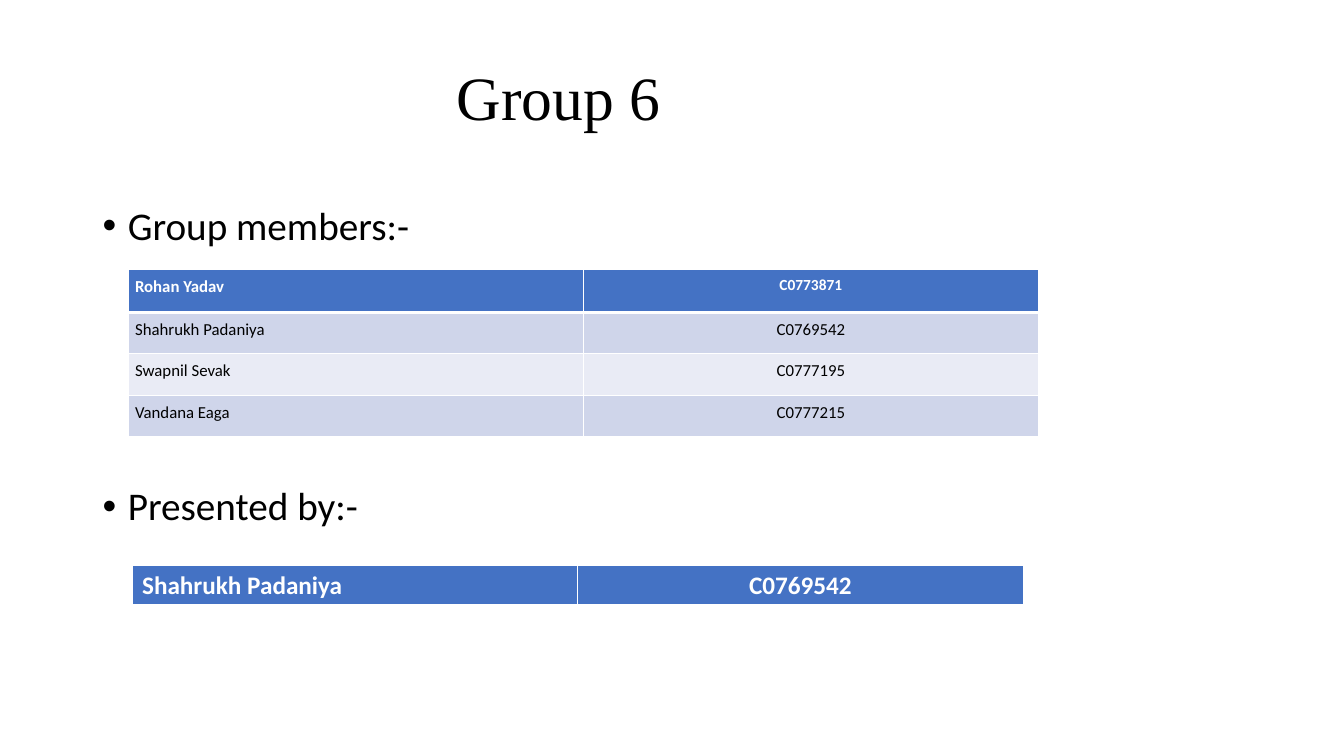
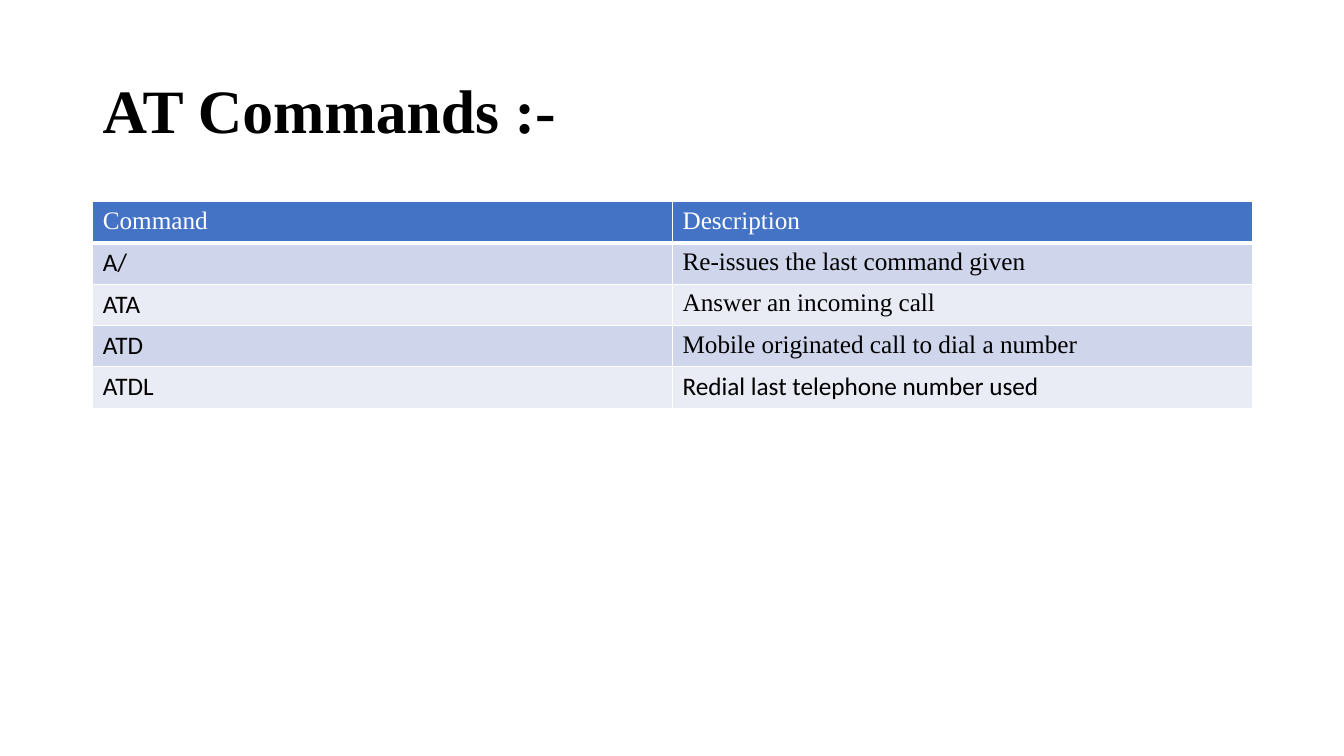
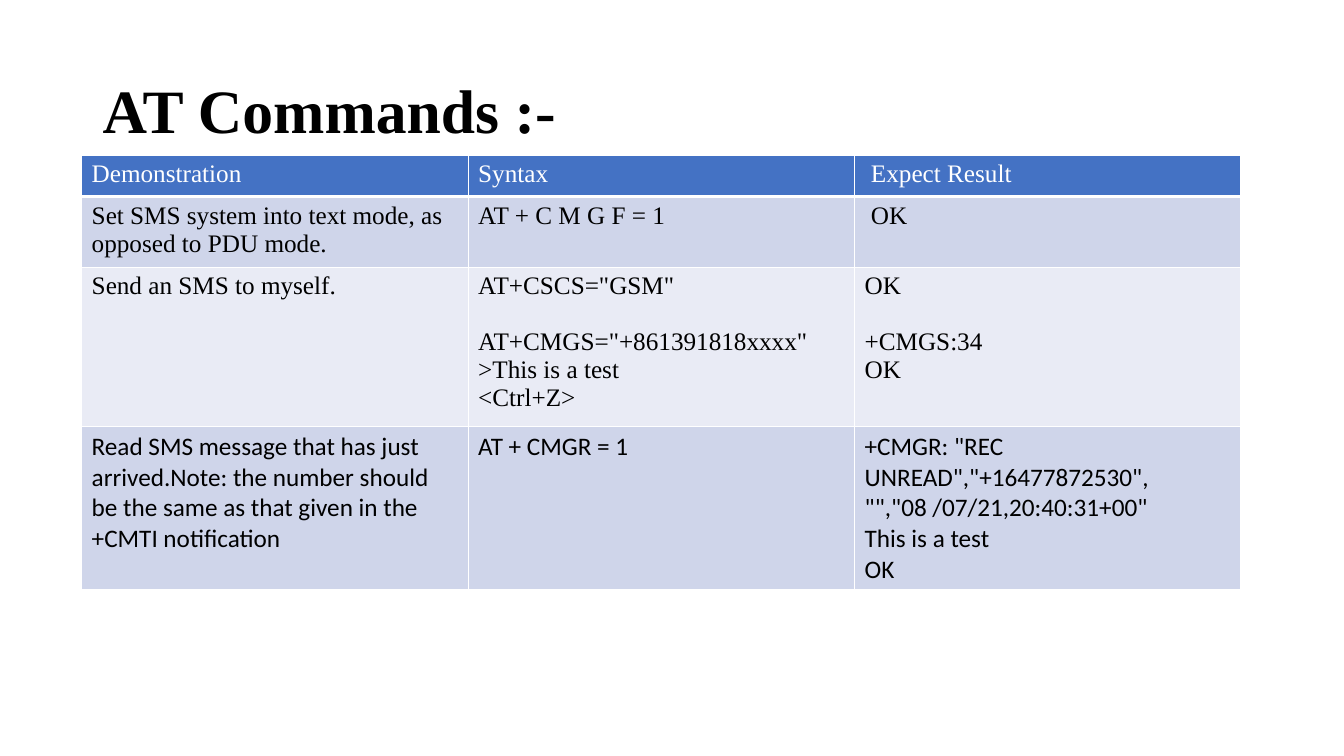
from lxml.etree import SubElement as Sub
from pptx import Presentation
from pptx.dml.color import RGBColor as RGB
from pptx.enum.text import MSO_ANCHOR as Anchor, PP_ALIGN as Align
from pptx.oxml.ns import qn
from pptx.util import Inches, Pt

SANS, SERIF = "Calibri", "Times New Roman"
BLACK, WHITE, BLUE = "000000", "FFFFFF", "4472C4"
BANDS = ["CFD5EA", "E9EBF5"]


def color(code):
    return RGB.from_string(code)


def style(para, size, face, ink=BLACK, bold=False):
    for run in para.runs:
        font = run.font
        font.size, font.name, font.bold = Pt(size), face, bold
        font.color.rgb = color(ink)


def textbox(slide, place, text):
    frame = slide.shapes.add_textbox(*map(Inches, place)).text_frame
    frame.word_wrap = True
    frame.text = text
    return frame


def title(slide, text, place=(0.92, 0.4, 11.5, 1.45), bold=True,
          anchor=Anchor.MIDDLE, spacing=0.9):
    frame = textbox(slide, place, text)
    frame.vertical_anchor = anchor
    para = frame.paragraphs[0]
    para.line_spacing = spacing
    style(para, 44, SERIF, bold=bold)


def bullets(slide, place, items, gap):
    """Bulleted lines, with gap points before each one but the first."""
    frame = textbox(slide, place, "\n".join(items))
    for i, para in enumerate(frame.paragraphs):
        para.line_spacing = 0.9
        para.space_before = Pt(gap if i else 0)
        props = para._p.get_or_add_pPr()
        props.set("marL", str(Inches(0.25)))
        props.set("indent", str(Inches(-0.25)))
        Sub(props, qn("a:buFont"), typeface="Arial")
        Sub(props, qn("a:buChar"), char="•")
        style(para, 28, SANS)


def borders(cell, base):
    """White edges; base is the width of the bottom one in points."""
    props = cell._tc.get_or_add_tcPr()
    edges = {"lnL": 1, "lnR": 1, "lnT": 1, "lnB": base}
    for i, (tag, width) in enumerate(edges.items()):
        line = props.makeelement(qn("a:" + tag), {"w": str(Pt(width))})
        fill = Sub(line, qn("a:solidFill"))
        Sub(fill, qn("a:srgbClr"), val=WHITE)
        props.insert(i, line)


def write(cell, text, **look):
    """Fill a cell; a blank line in text becomes space before the next one."""
    blocks = [block.split("\n") for block in text.split("\n\n")]
    starts = {sum(map(len, blocks[:i])) for i in range(1, len(blocks))}
    cell.text = "\n".join(line for block in blocks for line in block)
    for i, para in enumerate(cell.text_frame.paragraphs):
        if i in starts:
            para.space_before = Pt(20)
        style(para, **look)


def grid(slide, left, top, width, heights, rows, size=18, bold=False,
         serif=lambda r, c: False, center=None, inset=None):
    """Banded table with equal columns and a blue head row.

    serif tells which cells use the serif face, center is the centred column.
    """
    cols = len(rows[0])
    place = map(Inches, (left, top, width, sum(heights)))
    table = slide.shapes.add_table(len(rows), cols, *place).table
    for r, (height, texts) in enumerate(zip(heights, rows)):
        table.rows[r].height = Inches(height)
        head = r == 0
        for c, text in enumerate(texts):
            cell = table.cell(r, c)
            cell.fill.solid()
            cell.fill.fore_color.rgb = color(BLUE if head else BANDS[(r - 1) % 2])
            borders(cell, 3 if head else 1)
            if inset:
                cell.margin_left = cell.margin_right = Inches(inset)
                cell.margin_top = cell.margin_bottom = Inches(inset)
            write(cell, text, size=size, face=SERIF if serif(r, c) else SANS,
                  ink=WHITE if head else BLACK, bold=bold and head)
            if c == center:
                cell.text_frame.paragraphs[0].alignment = Align.CENTER
    return table


def group(slide):
    bullets(slide, (0.92, 2, 11.5, 4.76),
            ["Group members:-", "Presented by:-"], 170)
    team = grid(slide, 1.27, 2.67, 9.03, [0.43] + [0.41] * 3, [
        ("Rohan Yadav", "C0773871"),
        ("Shahrukh Padaniya", "C0769542"),
        ("Swapnil Sevak", "C0777195"),
        ("Vandana Eaga", "C0777215"),
    ], size=12, bold=True, center=1, inset=0.07)
    style(team.cell(0, 1).text_frame.paragraphs[0], 11, SANS, WHITE, True)
    grid(slide, 1.31, 5.61, 8.84, [0.4], [("Shahrukh Padaniya", "C0769542")],
         bold=True, center=1)
    title(slide, "Group 6", (4.43, 0.54, 2.39, 0.84), False, Anchor.TOP, 1.0)


def basics(slide):
    title(slide, "AT Commands :-")
    grid(slide, 0.92, 2, 11.5, [0.41] * 5, [
        ("Command", "Description"),
        ("A/", "Re-issues the last command given"),
        ("ATA", "Answer an incoming call"),
        ("ATD", "Mobile originated call to dial a number"),
        ("ATDL", "Redial last telephone number used"),
    ], serif=lambda r, c: r == 0 or (c == 1 and r < 4))


def demos(slide):
    title(slide, "AT Commands :-")
    grid(slide, 0.81, 1.54, 11.5, [0.41, 0.65, 1.48, 1.62], [
        ("Demonstration", "Syntax", " Expect Result"),
        ("Set SMS system into text mode, as opposed to PDU mode.",
         "AT + C M G F = 1", " OK"),
        ("Send an SMS to myself.",
         'AT+CSCS="GSM"\n\nAT+CMGS="+861391818xxxx" >This is a test\n<Ctrl+Z>',
         "OK\n\n+CMGS:34\nOK"),
        ("Read SMS message that has just arrived.Note: the number should "
         "be the same as that given in the +CMTI notification",
         "AT + CMGR = 1",
         '+CMGR: "REC UNREAD","+16477872530", "","08 /07/21,20:40:31+00"\n'
         "This is a test\nOK"),
    ], serif=lambda r, c: r < 3)


def main():
    deck = Presentation()
    deck.slide_width, deck.slide_height = Inches(13.33), Inches(7.5)
    for build in (group, basics, demos):
        build(deck.slides.add_slide(deck.slide_layouts[6]))
    deck.save("out.pptx")


if __name__ == "__main__":
    main()
